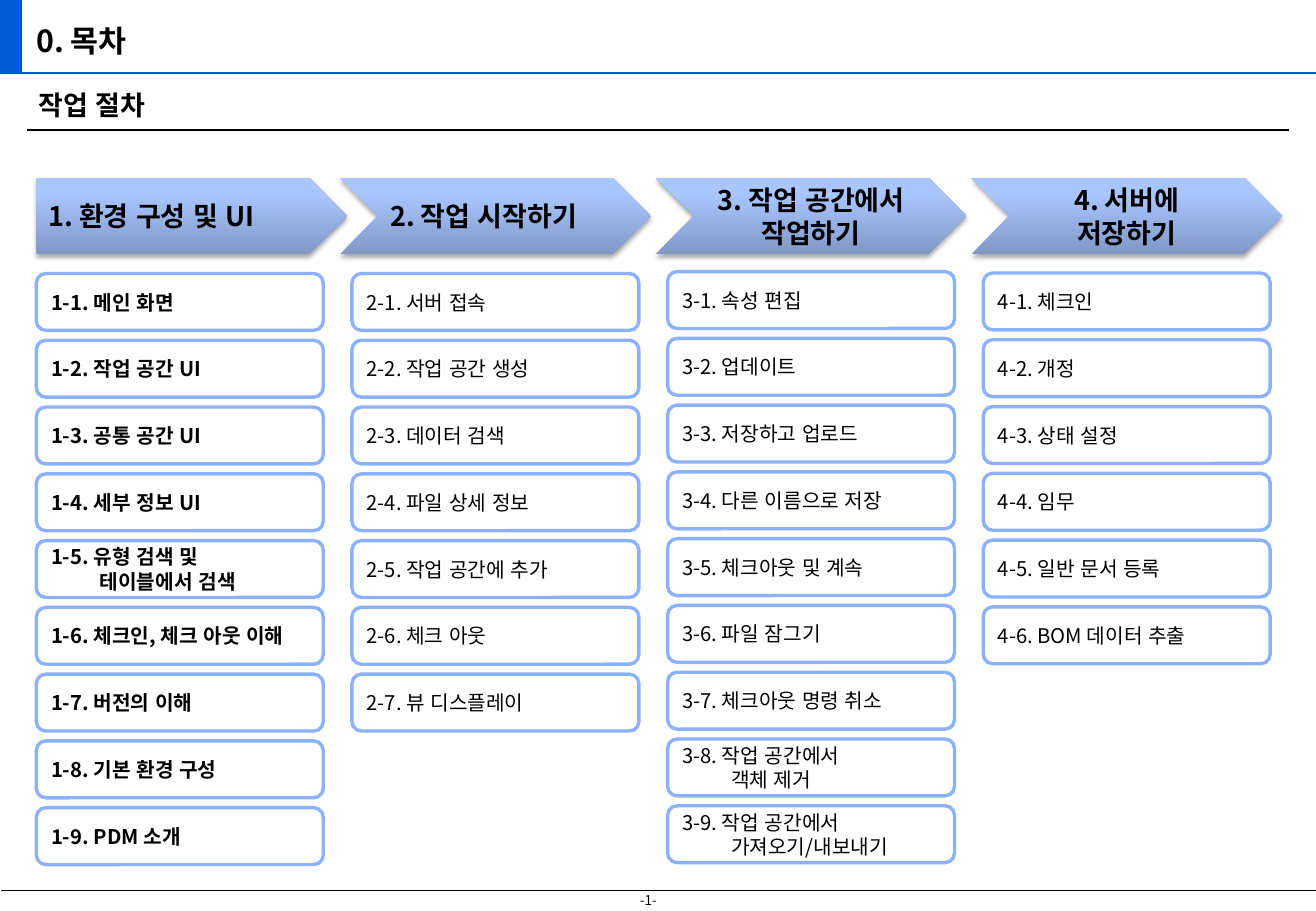
"""Build a contents slide with four work stages and their steps."""
from lxml import etree
from pptx import Presentation
from pptx import util as u
from pptx.dml.color import RGBColor
from pptx.enum import lang, shapes, text
from pptx.oxml import parse_xml
from pptx.oxml.ns import qn

STAGES = [
    (["1. 환경 구성 및 UI"], [
        ["1-1. 메인 화면"], ["1-2. 작업 공간 UI"], ["1-3. 공통 공간 UI"],
        ["1-4. 세부 정보 UI"], ["1-5. 유형 검색 및", "테이블에서 검색"],
        ["1-6. 체크인, 체크 아웃 이해"], ["1-7. 버전의 이해"],
        ["1-8. 기본 환경 구성"], ["1-9. PDM 소개"]]),
    (["2. 작업 시작하기"], [
        ["2-1. 서버 접속"], ["2-2. 작업 공간 생성"], ["2-3. 데이터 검색"],
        ["2-4. 파일 상세 정보"], ["2-5. 작업 공간에 추가"],
        ["2-6. 체크 아웃"], ["2-7. 뷰 디스플레이"]]),
    (["3. 작업 공간에서", "작업하기"], [
        ["3-1. 속성 편집"], ["3-2. 업데이트"], ["3-3. 저장하고 업로드"],
        ["3-4. 다른 이름으로 저장"], ["3-5. 체크아웃 및 계속"],
        ["3-6. 파일 잠그기"], ["3-7. 체크아웃 명령 취소"],
        ["3-8. 작업 공간에서", "객체 제거"],
        ["3-9. 작업 공간에서", "가져오기/내보내기"]]),
    (["4. 서버에", "저장하기"], [
        ["4-1. 체크인"], ["4-2. 개정"], ["4-3. 상태 설정"], ["4-4. 임무"],
        ["4-5. 일반 문서 등록"], ["4-6. BOM 데이터 추출"]]),
]
BLACK, WHITE = RGBColor(0, 0, 0), RGBColor(255, 255, 255)
BLUE, EDGE = RGBColor(0x00, 0x5B, 0xD3), RGBColor(0x8C, 0xB1, 0xFE)
FONT = "Noto Sans CJK KR"
HIGH = 19.05
WIDE = HIGH * 13 / 9
LABELS = [
    ("0. 목차", (0.56, 0.36, 13.59, 0.97), 18, True, True, (0.2, 0.1)),
    ("작업 절차", (0.56, 1.73, 26, 0.94), 16, True, True, (0.25, 0.13)),
    ("-1-", (13.13, 18.53, 1.12, 0.61), 8, False, False, (0.25, 0.13)),
]
RULES = [(0, WIDE, 1.52, BLUE, 1.25), (0.03, WIDE, 18.62, BLACK, 0.75),
         (0.56, 26.95, 2.72, BLACK, 0.75)]
STOPS = [(0, "8198C6"), (80, "AAC6FF"), (100, "ACC7FF")]
NS = 'xmlns:a="http://schemas.openxmlformats.org/drawingml/2006/main"'
SHADE = (f'<a:outerShdw {NS} blurRad="39370" dist="22860" dir="5400000" rotWithShape="0">'
         '<a:srgbClr val="000000"><a:alpha val="35000"/></a:srgbClr></a:outerShdw>')
LEFT, STEP_X, BACK = 0.76, 6.6, 0.25
HEAD_Y, HEAD_W, HEAD_H = 3.72, 6.5, 1.6
TOPS, SPAN, ROWS = (5.72, 5.72, 5.68, 5.71), 11.17, 9
BOX_W, BOX_H = 6, 1.19
INDENT = 1.02


def cm(*sizes):
    return [u.Cm(size) for size in sizes]


def write(frame, lines, size, bold, align=text.PP_ALIGN.LEFT, indent=0):
    form = {"name": FONT, "size": u.Pt(size), "bold": bold,
            "language_id": lang.MSO_LANGUAGE_ID.KOREAN}
    for row, line in enumerate(lines):
        para = frame.paragraphs[0] if row == 0 else frame.add_paragraph()
        para.alignment = align
        if row and indent:
            para._p.get_or_add_pPr().set("marL", str(u.Cm(indent)))
        run = para.add_run()
        run.text = line
        run.font.color.rgb = BLACK
        for key, val in form.items():
            setattr(run.font, key, val)
        etree.SubElement(run._r.rPr, qn("a:ea")).set("typeface", FONT)


def shape(slide, kind, box):
    item = slide.shapes.add_shape(kind, *cm(*box))
    item.shadow.inherit = False
    item.text_frame.vertical_anchor = text.MSO_ANCHOR.MIDDLE
    return item


def block(slide, kind, box, color, edge=None):
    item = shape(slide, kind, box)
    item.fill.solid()
    item.fill.fore_color.rgb = color
    if edge:
        item.line.color.rgb = edge
        item.line.width = u.Pt(2)
    else:
        item.line.fill.background()
    return item


def header(slide, col, lines):
    kind = shapes.MSO_SHAPE.CHEVRON if col else shapes.MSO_SHAPE.PENTAGON
    left = LEFT + col * STEP_X - (BACK if col else 0)
    item = shape(slide, kind, (left, HEAD_Y, HEAD_W, HEAD_H))
    item.line.fill.background()
    item.fill.gradient()
    item.fill.gradient_angle = 90
    props = item._element.spPr
    stops = props.find(".//" + qn("a:gsLst"))
    for old in list(stops):
        stops.remove(old)
    for pos, color in STOPS:
        stop = etree.SubElement(stops, qn("a:gs"), pos=str(pos * 1000))
        etree.SubElement(stop, qn("a:srgbClr"), val=color)
    props.find(qn("a:effectLst")).append(parse_xml(SHADE))
    align = text.PP_ALIGN.CENTER if len(lines) > 1 else text.PP_ALIGN.LEFT
    write(item.text_frame, lines, 16, True, align)


def rule(slide, start, end, top, color, width):
    line = slide.shapes.add_connector(
        shapes.MSO_CONNECTOR.STRAIGHT, *cm(start, top, end, top))
    line.line.color.rgb = color
    line.line.width = u.Pt(width)
    etree.SubElement(line._element.spPr, qn("a:effectLst"))


def label(slide, words, box, size, bold, wrap, pad):
    frame = slide.shapes.add_textbox(*cm(*box)).text_frame
    side, edge = cm(*pad)
    form = {"word_wrap": wrap, "margin_left": side, "margin_right": side,
            "margin_top": edge, "margin_bottom": edge}
    for key, val in form.items():
        setattr(frame, key, val)
    write(frame, [words], size, bold)


def main():
    deck = Presentation()
    deck.slide_width, deck.slide_height = cm(WIDE, HIGH)
    slide = deck.slides.add_slide(deck.slide_layouts[6])
    block(slide, shapes.MSO_SHAPE.RECTANGLE, (0, 0, 0.46, 1.52), BLUE)
    for args in RULES:
        rule(slide, *args)
    for args in LABELS:
        label(slide, *args)
    for col, (title, steps) in enumerate(STAGES):
        header(slide, col, title)
        for row, lines in enumerate(steps):
            top = TOPS[col] + row * SPAN / (ROWS - 1)
            box = (LEFT + col * STEP_X, top, BOX_W, BOX_H)
            item = block(slide, shapes.MSO_SHAPE.FLOWCHART_ALTERNATE_PROCESS,
                         box, WHITE, EDGE)
            write(item.text_frame, lines, 12, col == 0, indent=INDENT)
    deck.save("out.pptx")


if __name__ == "__main__":
    main()
